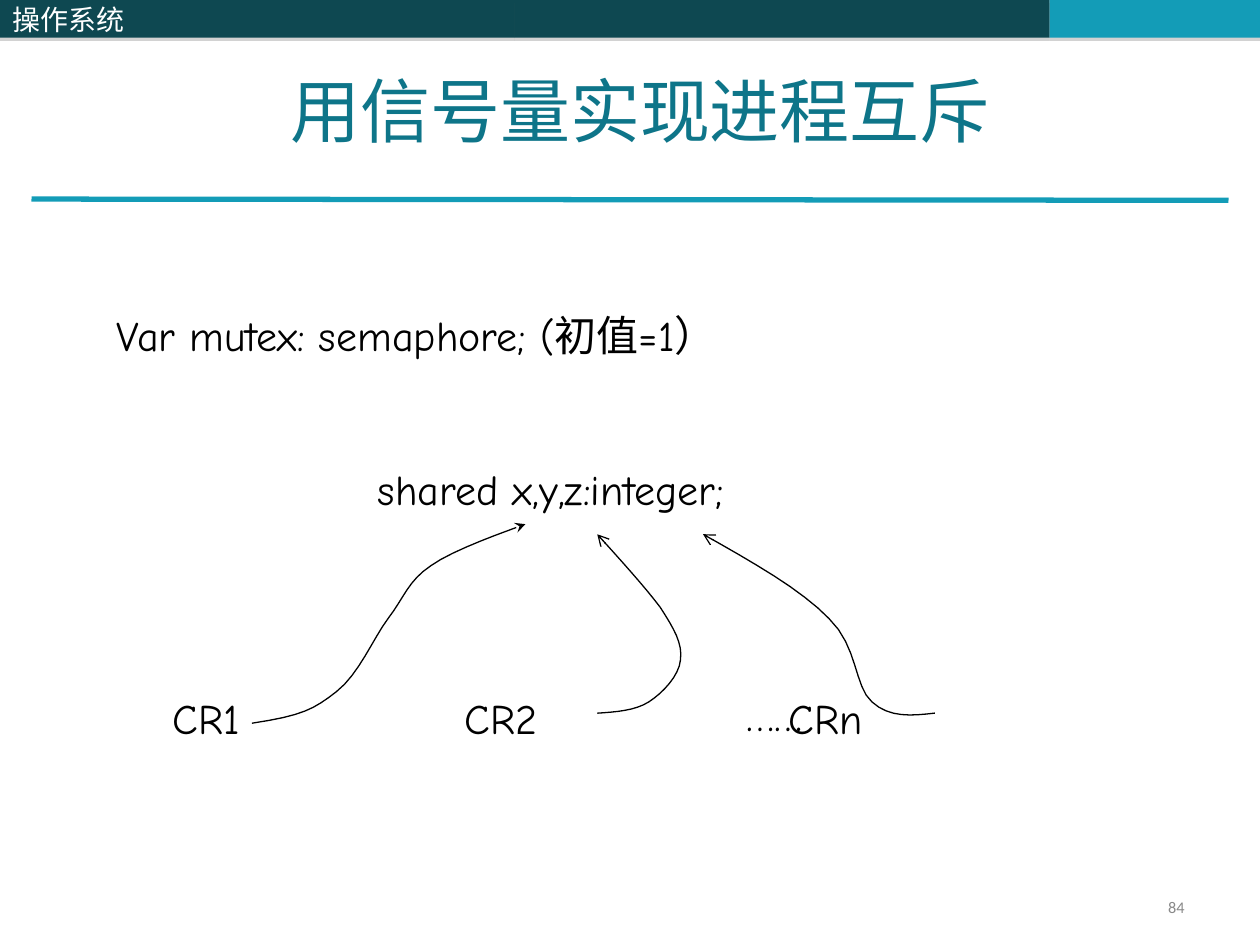
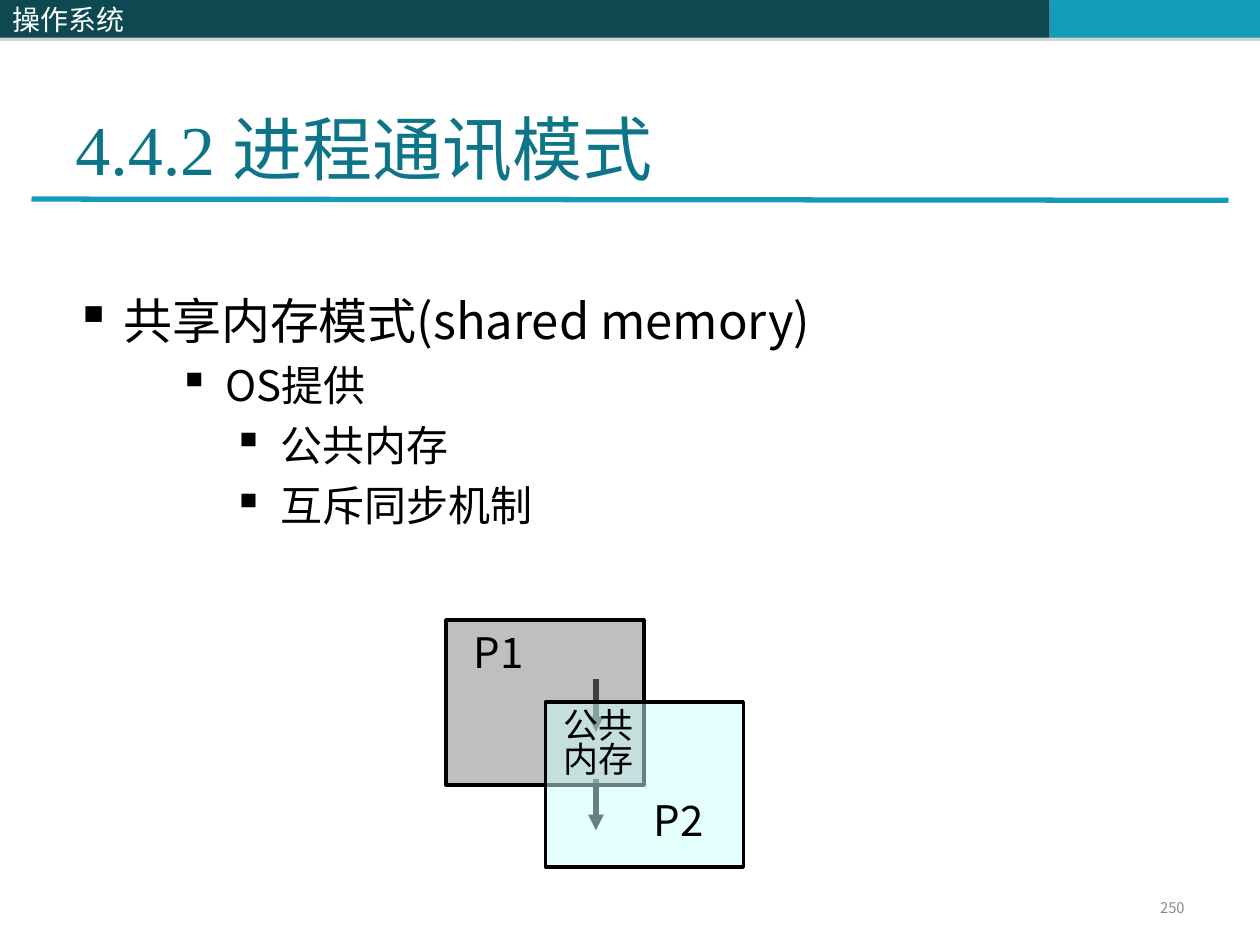
from lxml import etree
from pptx import Presentation
from pptx.dml.color import RGBColor
from pptx.enum.shapes import MSO_CONNECTOR, MSO_SHAPE
from pptx.enum.text import MSO_ANCHOR, PP_ALIGN
from pptx.oxml.ns import qn
from pptx.util import Inches, Pt

RECTANGLE, STRAIGHT = MSO_SHAPE.RECTANGLE, MSO_CONNECTOR.STRAIGHT
TOP, MIDDLE, BOTTOM = MSO_ANCHOR.TOP, MSO_ANCHOR.MIDDLE, MSO_ANCHOR.BOTTOM
LEFT, CENTER, RIGHT = PP_ALIGN.LEFT, PP_ALIGN.CENTER, PP_ALIGN.RIGHT

DARK_TEAL = RGBColor(0x0E, 0x48, 0x51)
BRIGHT_TEAL = RGBColor(0x13, 0x9C, 0xB7)
TITLE_TEAL = RGBColor(0x0E, 0x75, 0x89)
NUMBER_GRAY = RGBColor(0x89, 0x89, 0x89)
PROCESS_GRAY = RGBColor(0x80, 0x80, 0x80)
PROCESS_CYAN = RGBColor(0xCC, 0xFF, 0xFF)
BLACK = RGBColor(0, 0, 0)
WHITE = RGBColor(0xFF, 0xFF, 0xFF)

SANS, SERIF = "Noto Sans CJK SC", "Times New Roman"
COMIC, NUMBER_FONT = "Comic Neue", "Calibri"

deck = Presentation()
deck.slide_width, deck.slide_height = Inches(10), Inches(7.5)
COLUMN = deck.slide_width / 100
ROW = deck.slide_height / 75
blank = deck.slide_layouts[6]
mutex_page, memory_page = deck.slides.add_slide(blank), deck.slides.add_slide(blank)


def write(frame, text, size=24, font=SANS, color=BLACK, align=LEFT, spacing=None, bullet=None):
    """Add one paragraph; bullet is (level, left margin, hanging indent)."""
    para = frame.paragraphs[0] if not frame.text else frame.add_paragraph()
    para.alignment = align
    if spacing:
        para.line_spacing = spacing
    if bullet:
        level, margin, hang = bullet
        para.level = level
        properties = para._p.get_or_add_pPr()
        properties.set("marL", str(round(margin * COLUMN)))
        properties.set("indent", str(round(-hang * COLUMN)))
        etree.SubElement(properties, qn("a:buChar"), char="▪")
    span = para.add_run()
    span.text = text
    span.font.size, span.font.name = Pt(size), font
    span.font.color.rgb = color
    etree.SubElement(span._r.get_or_add_rPr(), qn("a:ea"), typeface=SANS)


def style_line(line_shape, color, width, head=None):
    line_shape.line.color.rgb = color
    line_shape.line.width = Pt(width)
    if head:
        etree.SubElement(line_shape.line._get_or_add_ln(), qn("a:tailEnd"), type=head)
    etree.SubElement(line_shape._element.spPr, qn("a:effectLst"))


# Header bands and title rule on both pages
for page in (mutex_page, memory_page):
    for left, right, color, heading in (
        (40.8, 83.3, DARK_TEAL, None),
        (83.3, 100, BRIGHT_TEAL, None),
        (0, 40.8, DARK_TEAL, "操作系统"),
    ):
        band = page.shapes.add_shape(
            RECTANGLE, round(left * COLUMN), 0, round((right - left) * COLUMN), round(3 * ROW))
        band.fill.solid()
        band.fill.fore_color.rgb = color
        band.line.fill.background()
        band.shadow.inherit = False
        effects = band._element.spPr.find(qn("a:effectLst"))
        shadow = etree.SubElement(effects, qn("a:outerShdw"), dist=str(Pt(1.8)), dir="5400000")
        shade = etree.SubElement(shadow, qn("a:srgbClr"), val=str(PROCESS_GRAY))
        etree.SubElement(shade, qn("a:alpha"), val="35000")
        if heading:
            band.text_frame.vertical_anchor = MIDDLE
            write(band.text_frame, heading, size=16, color=WHITE)
    rule = page.shapes.add_connector(
        STRAIGHT, round(2.5 * COLUMN), round(15.8 * ROW), round(97.5 * COLUMN), round(15.9 * ROW))
    style_line(rule, BRIGHT_TEAL, 3)

# Curved arrows from each critical region to the shared variables:
# a start point, then two control points and an end point per segment
STEPS = 8
curves = (
    ("stealth", (20, 57.4),
     (24, 56.8), (24.9, 56.3), (26.7, 54.9),
     (28.5, 53.5), (29.6, 50.7), (30.8, 49.1),
     (32.1, 47.4), (32.4, 46.1), (34.2, 44.9),
     (36, 43.6), (40.4, 42.1), (41.7, 41.6)),
    ("arrow", (47.4, 56.6),
     (48.9, 56.5), (50.4, 56.4), (51.5, 55.7),
     (52.6, 55), (53.9, 53.6), (54, 52.4),
     (54.2, 51.1), (53.5, 49.9), (52.4, 48.2),
     (51.2, 46.6), (49.3, 44.5), (47.4, 42.4)),
    ("arrow", (74.2, 56.6),
     (72.4, 56.8), (70.6, 57), (69.2, 55.7),
     (67.8, 54.5), (68.1, 51.3), (65.8, 49.1),
     (63.6, 46.8), (59.7, 44.6), (55.8, 42.4)),
)
for head, *knots in curves:
    points = []
    for first in range(0, len(knots) - 1, 3):
        start, pull, push, end = knots[first:first + 4]
        for step in range(1, STEPS + 1):
            t = step / STEPS
            weights = ((1 - t) ** 3, 3 * t * (1 - t) ** 2, 3 * t * t * (1 - t), t ** 3)
            x, y = (sum(weight * value for weight, value in zip(weights, axis))
                    for axis in zip(start, pull, push, end))
            points.append((x * COLUMN, y * ROW))
    outline = mutex_page.shapes.build_freeform(knots[0][0] * COLUMN, knots[0][1] * ROW)
    outline.add_line_segments(points, close=False)
    curve = outline.convert_to_shape()
    curve.fill.background()
    style_line(curve, BLACK, 0.75, head)

# Data flow through the shared memory, behind the two processes
for top, bottom in ((53.9, 58.1), (61.8, 65.9)):
    flow = memory_page.shapes.add_connector(
        STRAIGHT, round(47.3 * COLUMN), round(top * ROW), round(47.3 * COLUMN), round(bottom * ROW))
    style_line(flow, BLACK, 3, "triangle")
for left, top, color in ((35.4, 49.2, PROCESS_GRAY), (43.3, 55.7, PROCESS_CYAN)):
    process = memory_page.shapes.add_shape(
        RECTANGLE, round(left * COLUMN), round(top * ROW), round(15.7 * COLUMN), round(13.1 * ROW))
    process.fill.solid()
    process.fill.fore_color.rgb = color
    tint = process._element.spPr.find(qn("a:solidFill"))[0]
    etree.SubElement(tint, qn("a:alpha"), val="50000")
    style_line(process, BLACK, 2)

# Text boxes: page, (left, top, width, height), anchor, has margins, paragraphs
title = dict(size=40, font=SERIF, color=TITLE_TEAL)
number = dict(color=NUMBER_GRAY, align=RIGHT, spacing=0.8)
number_place = (71.7, 70.8, 23.3, 2.7)
comic = dict(font=COMIC)
label = dict(spacing=0.8)
item = dict(spacing=1.2, bullet=(2, 16.3, 3.8))
texts = [
    (mutex_page, number_place, MIDDLE, True, [("84", dict(number, size=9.3, font=NUMBER_FONT))]),
    (mutex_page, (8.3, 2.4, 85, 12.5), MIDDLE, True,
     [("用信号量实现进程互斥", dict(title, align=CENTER))]),
    (mutex_page, (8.3, 24.1, 84.2, 5), TOP, True,
     [("Var mutex: semaphore; (初值=1）", comic)]),
    (mutex_page, (29, 36.3, 40, 5), TOP, True, [("shared x,y,z:integer;", comic)]),
    (mutex_page, (58.3, 54.2, 8.3, 5), TOP, True, [("……", comic)]),
    (memory_page, number_place, MIDDLE, True, [("250", dict(number, size=8.4))]),
    (memory_page, (5, 3, 90, 12.5), BOTTOM, True, [("4.4.2 进程通讯模式", title)]),
    (memory_page, (5, 21.6, 92, 25.8), TOP, True, [
        ("共享内存模式(shared memory)", dict(size=28, spacing=1.2, bullet=(0, 3.8, 3.8))),
        ("OS提供", dict(spacing=1.2, bullet=(1, 11.9, 3.7))),
        ("公共内存", item),
        ("互斥同步机制", item),
    ]),
    (memory_page, (37.6, 50.5, 5, 3.2), TOP, False, [("P1", label)]),
    (memory_page, (51.9, 63.8, 5, 3.2), TOP, False, [("P2", label)]),
    (memory_page, (44.7, 56.5, 5.7, 5.3), TOP, False, [("公共内存", dict(label, size=20))]),
]
for region, left in (("CR1", 12.7), ("CR2", 35.9), ("CRn", 61.6)):
    texts.append((mutex_page, (left, 54.5, 10, 5), TOP, True, [(region, comic)]))

for page, (left, top, width, height), anchor, has_margins, paragraphs in texts:
    box = page.shapes.add_textbox(
        round(left * COLUMN), round(top * ROW), round(width * COLUMN), round(height * ROW))
    frame = box.text_frame
    frame.word_wrap = True
    frame.vertical_anchor = anchor
    if not has_margins:
        frame.margin_left = frame.margin_right = frame.margin_top = frame.margin_bottom = 0
    for text, text_format in paragraphs:
        write(frame, text, **text_format)

deck.save("out.pptx")
